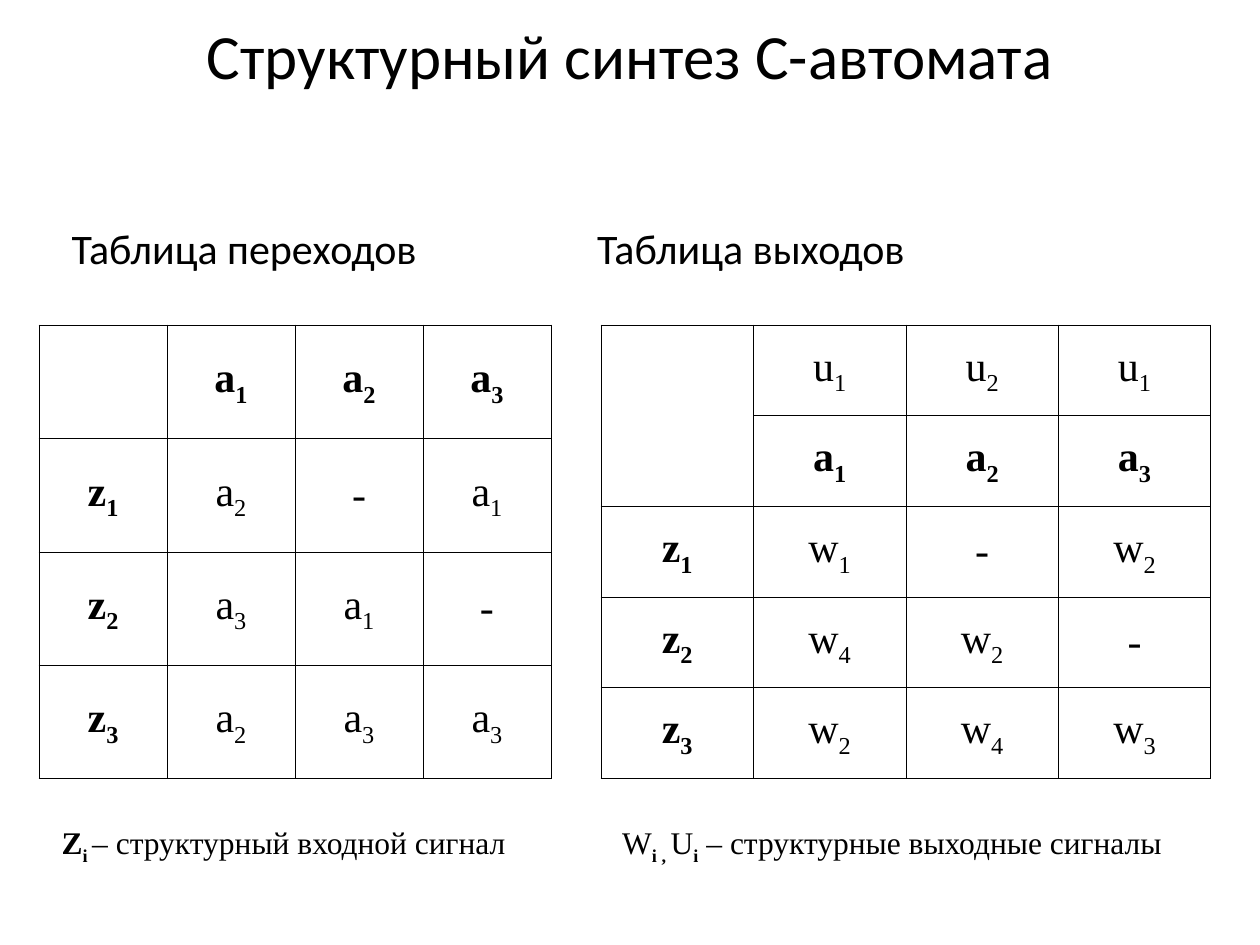
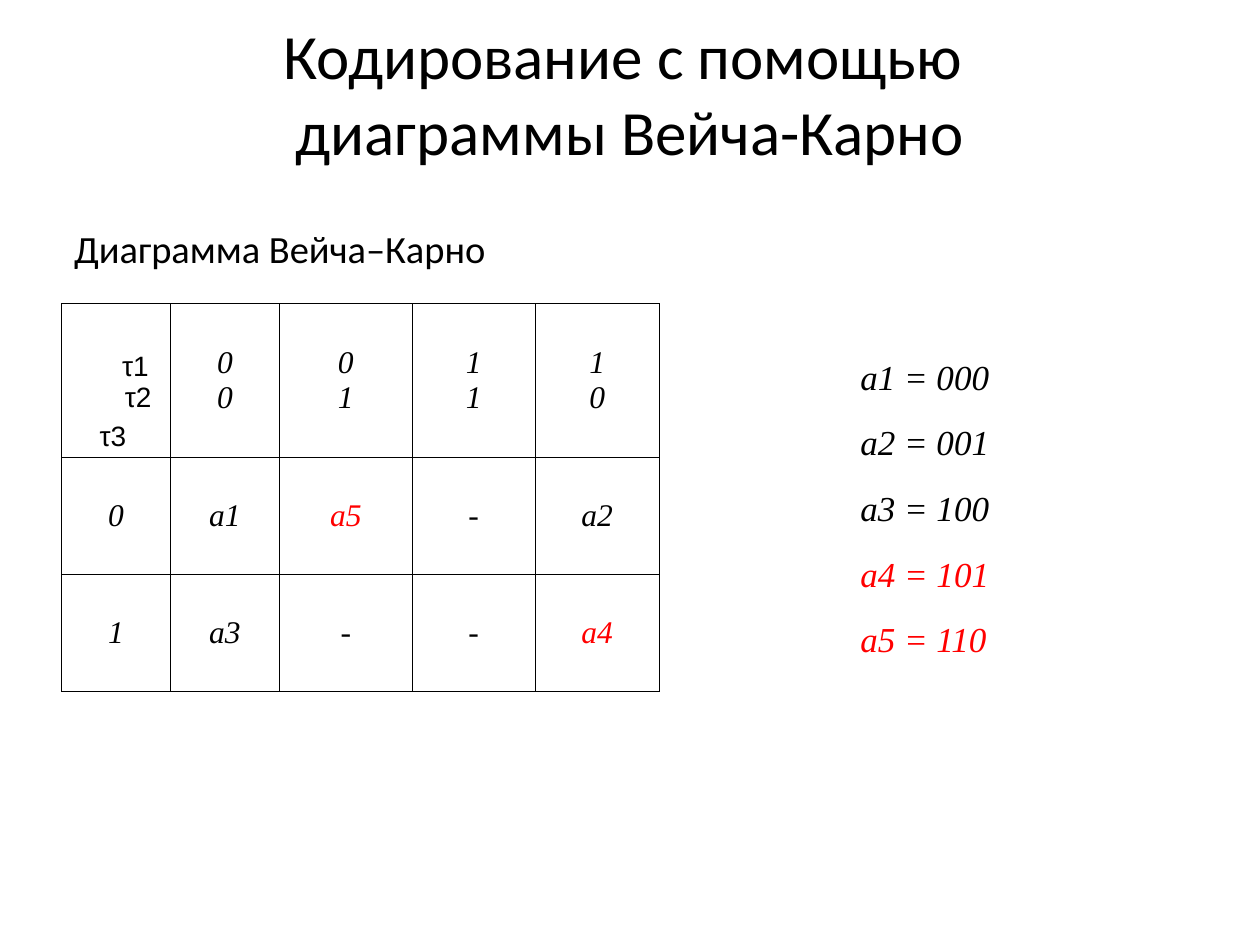
from lxml.etree import SubElement
from pptx import Presentation
from pptx.dml.color import RGBColor
from pptx.enum.text import MSO_ANCHOR, MSO_AUTO_SIZE, PP_ALIGN
from pptx.oxml.ns import qn
from pptx.util import Inches, Pt

BLACK, RED = "000000", "FF0000"
SANS, SERIF = "Calibri", "Times New Roman"
BORDER_WIDTH = Pt(0.45)


def write(paragraph, pieces, size, font, color=BLACK, italic=False):
    """Add (text, bold, subscript) pieces as runs in one style."""
    for text, bold, subscript in pieces:
        # A vertical tab inside a piece becomes a line break.
        for number, line in enumerate(text.split("\v")):
            if number:
                paragraph.add_line_break()
            run = paragraph.add_run()
            run.text = line
            style = {"size": Pt(size), "name": font, "bold": bold, "italic": italic}
            for attribute, value in style.items():
                setattr(run.font, attribute, value)
            run.font.color.rgb = RGBColor.from_string(color)
            if subscript:
                run._r.get_or_add_rPr().set("baseline", "-25000")


def add_grid(slide, left, top, widths, heights, side_margin):
    """Add a plain table with thin black borders and centred cells."""
    table = slide.shapes.add_table(
        len(heights), len(widths), Inches(left), Inches(top),
        Inches(sum(widths)), Inches(sum(heights))).table
    table.first_row = table.horz_banding = False
    for column, width in zip(table.columns, widths):
        column.width = Inches(width)
    for row, height in zip(table.rows, heights):
        row.height = Inches(height)
    layout = {
        "vertical_anchor": MSO_ANCHOR.MIDDLE,
        "margin_left": Inches(side_margin), "margin_right": Inches(side_margin),
        "margin_top": Inches(0.05), "margin_bottom": Inches(0.05),
    }
    for cell in table.iter_cells():
        for attribute, value in layout.items():
            setattr(cell, attribute, value)
        cell.fill.background()
        properties = cell._tc.get_or_add_tcPr()
        for position, side in enumerate(("a:lnL", "a:lnR", "a:lnT", "a:lnB")):
            border = SubElement(properties, qn(side), w=str(BORDER_WIDTH))
            fill = SubElement(border, qn("a:solidFill"))
            SubElement(fill, qn("a:srgbClr"), val=BLACK)
            properties.insert(position, border)
        cell.text_frame.paragraphs[0].alignment = PP_ALIGN.CENTER
    return table


prs = Presentation()
prs.slide_width, prs.slide_height = Inches(10), Inches(7.5)

# Titles
titles = [
    ("Структурный синтез С-автомата", 0.3, 0.87),
    ("Кодирование с помощью \vдиаграммы Вейча-Карно", 0.28, 0.91),
]
for title_text, top, height in titles:
    slide = prs.slides.add_slide(prs.slide_layouts[5])
    title = slide.shapes.title
    place = {"left": 0.5, "top": top, "width": 9, "height": height}
    for attribute, value in place.items():
        setattr(title, attribute, Inches(value))
    frame = title.text_frame
    frame.auto_size = MSO_AUTO_SIZE.NONE
    frame.vertical_anchor = MSO_ANCHOR.MIDDLE
    frame.margin_top = frame.margin_bottom = 0
    frame.paragraphs[0].alignment = PP_ALIGN.CENTER
    write(frame.paragraphs[0], [(title_text, False, False)], 36, SANS)

synthesis, coding = prs.slides
# The one-line title stands level with the first line of the two-line title
synthesis.shapes.title.text_frame.margin_bottom = Inches(0.61)

# Headings, signal legends and map variables
labels = [
    (synthesis, (0.47, 1.72, 9, 0.55), 0.1, 24, SANS,
     [("Таблица переходов\tТаблица выходов", False, False)]),
    (synthesis, (0.39, 6.48, 3.91, 0.44), 0.1, 18, SERIF,
     [("Z", True, False), ("i ", True, True),
      ("– структурный входной сигнал", False, False)]),
    (synthesis, (4.84, 6.48, 4.77, 0.44), 0.1, 18, SERIF,
     [("W", False, False), ("i , ", True, True), ("U", False, False),
      ("i", True, True), (" – структурные выходные сигналы", False, False)]),
    (coding, (0.49, 1.74, 3.94, 0.67), 0.1, 22, SANS,
     [("Диаграмма Вейча–Карно", False, False)]),
]

# State and output tables: the digit of each entry is a subscript
transitions = [
    ["", "a1", "a2", "a3"],
    ["z1", "a2", "-", "a1"],
    ["z2", "a3", "a1", "-"],
    ["z3", "a2", "a3", "a3"],
]
outputs = [
    ["", "u1", "u2", "u1"],
    ["", "a1", "a2", "a3"],
    ["z1", "w1", "-", "w2"],
    ["z2", "w4", "w2", "-"],
    ["z3", "w2", "w4", "w3"],
]
transition_table = add_grid(synthesis, 0.31, 2.58, [1.016] * 4, [0.9] * 4, 0.05)
output_table = add_grid(synthesis, 4.77, 2.58, [1.21] * 4, [0.72] * 5, 0.08)
output_table.cell(0, 0).merge(output_table.cell(1, 0))
for table, entries, state_row in ((transition_table, transitions, 0),
                                  (output_table, outputs, 1)):
    for r, row in enumerate(entries):
        for c, entry in enumerate(row):
            if entry:
                bold = r == state_row or c == 0
                pieces = [(entry[0], bold, False)]
                if entry[1:]:
                    pieces.append((entry[1:], bold, True))
                write(table.cell(r, c).text_frame.paragraphs[0], pieces, 24, SERIF)

# Veitch–Karnaugh map
karnaugh = [
    ["", "00", "01", "11", "10"],
    ["0", "а1", "а5", "-", "а2"],
    ["1", "а3", "-", "-", "а4"],
]
karnaugh_map = add_grid(coding, 0.49, 2.41, [0.86, 0.87, 1.05, 0.98, 0.98],
                        [1.22, 0.93, 0.93], 0.07)
for r, row in enumerate(karnaugh):
    for c, entry in enumerate(row):
        frame = karnaugh_map.cell(r, c).text_frame
        for number, line in enumerate(entry if r == 0 else [entry]):
            paragraph = frame.add_paragraph() if number else frame.paragraphs[0]
            paragraph.alignment = PP_ALIGN.CENTER
            color = RED if entry in ("а4", "а5") else BLACK
            write(paragraph, [(line, False, False)], 18, SERIF, color, italic=True)

for variable, left, top, width in (("τ1", 0.97, 2.77, 0.56), ("τ2", 0.99, 3.01, 0.39),
                                   ("τ3", 0.79, 3.32, 0.51)):
    labels.append((coding, (left, top, width, 0.27), 0, 16, "Arial",
                   [(variable, False, False)]))

for slide, place, margin, size, font, pieces in labels:
    frame = slide.shapes.add_textbox(*map(Inches, place)).text_frame
    frame.word_wrap = True
    frame.margin_left = frame.margin_right = Inches(margin)
    frame.margin_top = frame.margin_bottom = Inches(margin / 2)
    paragraph = frame.paragraphs[0]
    write(paragraph, pieces, size, font)
    if "\t" in pieces[0][0]:
        stops = SubElement(paragraph._p.get_or_add_pPr(), qn("a:tabLst"))
        SubElement(stops, qn("a:tab"), pos=str(Inches(4.17)), algn="l")

# State codes
codes = coding.shapes.add_textbox(
    Inches(6.73), Inches(2.77), Inches(2.44), Inches(2.46)).text_frame
codes.word_wrap = True
for number, code in enumerate(["000", "001", "100", "101", "110"], start=1):
    paragraph = codes.paragraphs[0] if number == 1 else codes.add_paragraph()
    paragraph.space_before = Pt(13.5)
    write(paragraph, [(f"a{number} = {code}", False, False)], 20, SERIF,
          RED if number > 3 else BLACK, italic=True)

prs.save("out.pptx")
